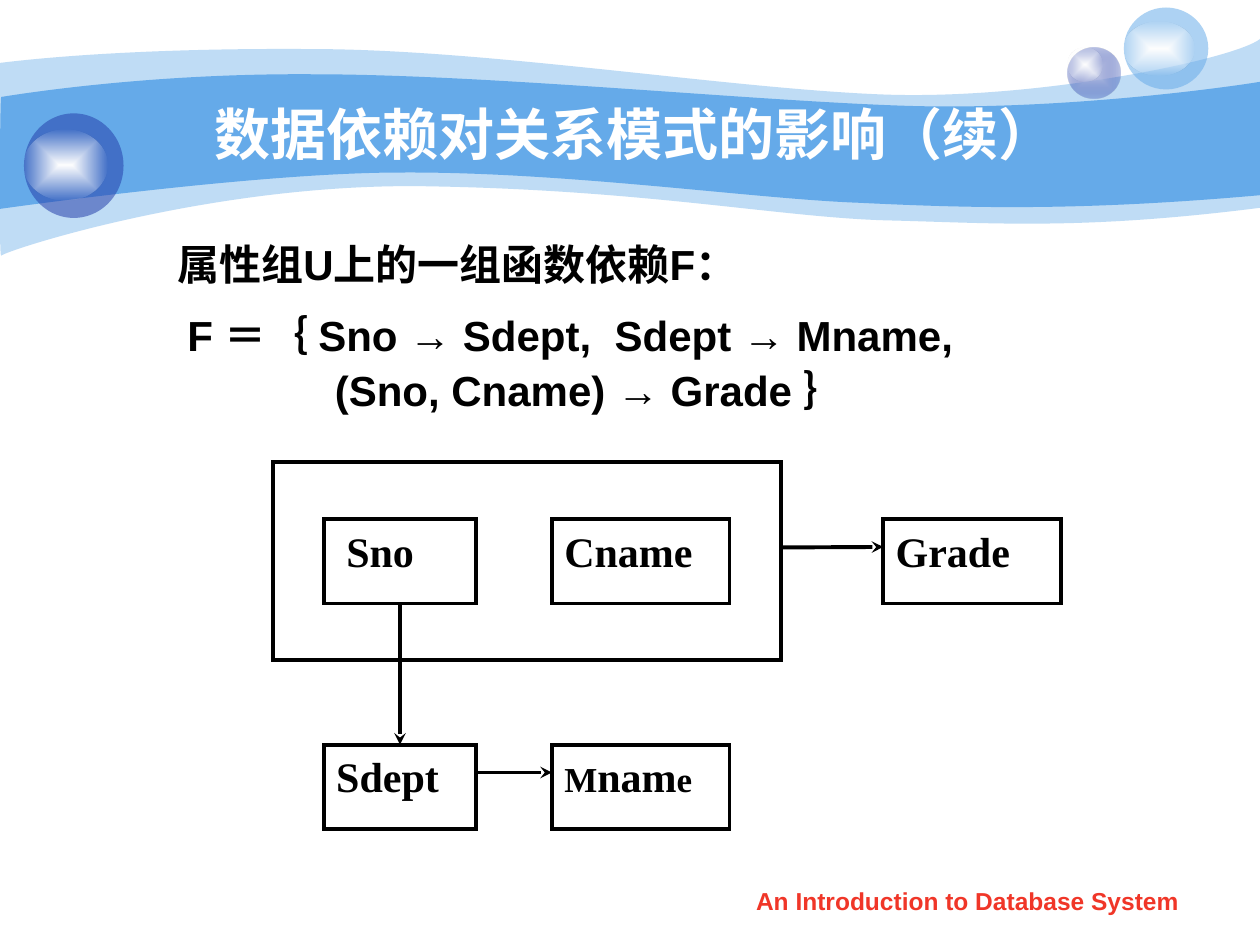
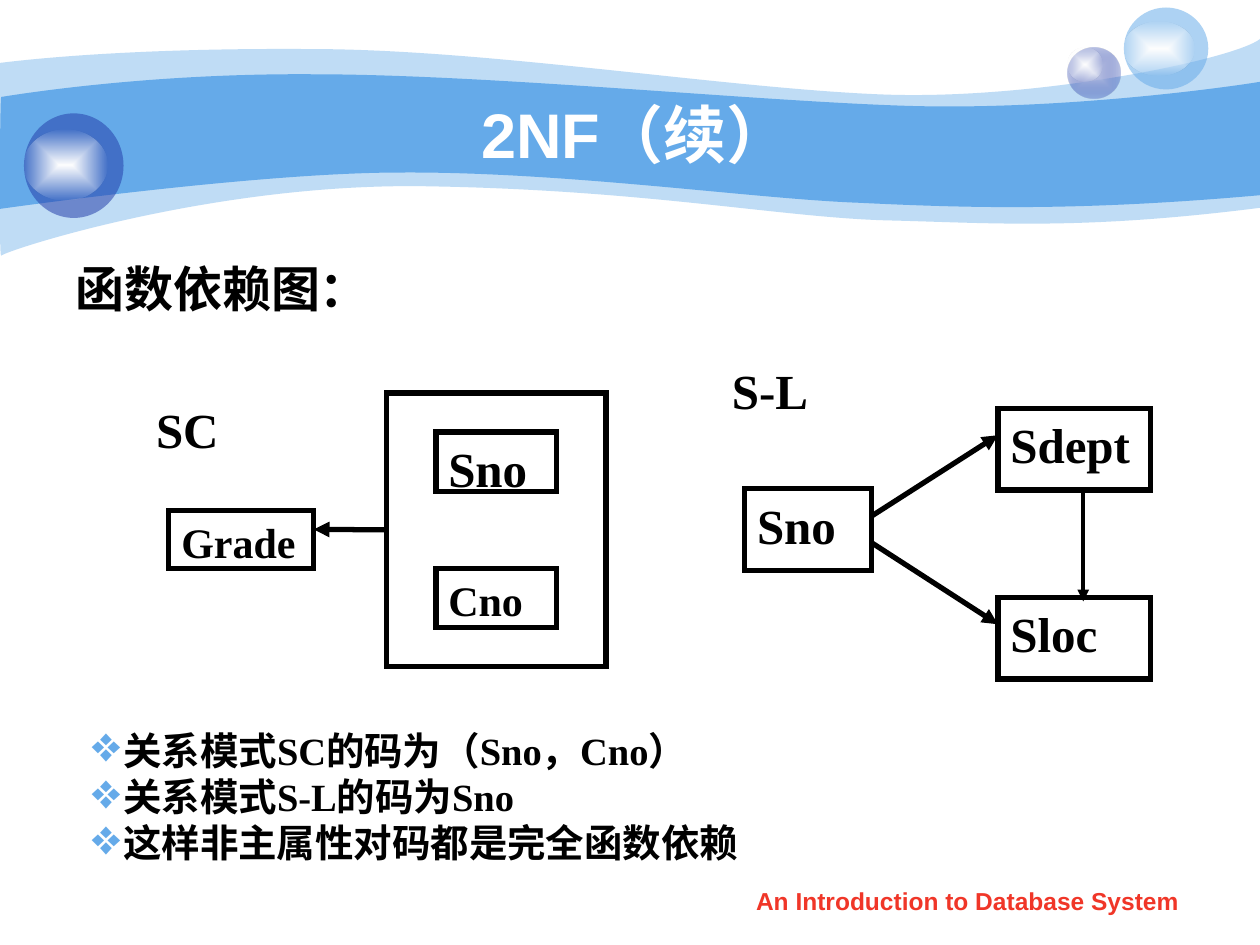
from pptx import Presentation, util as u
from pptx.dml.color import RGBColor
from pptx.enum import shapes as kinds, text as t
from pptx.oxml import parse_xml
from pptx.oxml.ns import nsdecls, qn

THEME = {
    "ink": "000000", "sky": "65AAE9", "navy": "233DA9", "lilac": "C6CCE8",
    "white": "FFFFFF", "clear": "FEFEFE", "footer": "F03628",
    "sans": "Arial", "serif": "Times New Roman",
    "small": 14, "minor": 20, "list": 22, "text": 24, "large": 28,
    "thin": 2.25, "thick": 3,
}
SLIDE = (10, 7.5)
TITLE_BOX = (1, 0.75, 8.08, 0.62)
FOOTER = ("An Introduction to Database System", (5.71, 6.98, 3.94, 0.35))

# Band outlines: six numbers are a Bézier step, two a straight step.
BANDS = [
    (41, (0, 0.5), [
        (0.24, 0.47, 1.07, 0.38, 2.47, 0.39), (3.86, 0.39, 5.75, 0.7, 6.99, 0.75),
        (8.22, 0.8, 9.8, 0.47, 10, 0.31), (10, 1.65),
        (8.58, 1.83, 7.87, 1.77, 7.05, 1.75), (6.22, 1.73, 5.15, 1.51, 3.43, 1.48),
        (1.72, 1.44, 0.04, 1.99, 0.01, 2.03), (-0.01, 2.08, 0, 0.75, 0, 0.5)]),
    (100, (0.01, 0.77), [
        (0.02, 0.77, 1.1, 0.58, 2.48, 0.59), (3.86, 0.59, 5.95, 0.8, 7.18, 0.84),
        (8.41, 0.88, 9.76, 0.69, 10, 0.65), (10, 1.55),
        (8.53, 1.68, 7.65, 1.65, 6.82, 1.61), (5.99, 1.58, 4.47, 1.36, 3.17, 1.37),
        (2.03, 1.37, -0.02, 1.66, -0.01, 1.66), (0, 1.66, 0, 0.77, 0.01, 0.77)]),
]
# Each bubble: its box, its colour stops, the box of its highlight.
BUBBLES = [
    ((8.47, 0.38, 0.42, 0.4), [("lilac", 100), ("navy", 31)], (8.47, 0.38, 0.28, 0.27)),
    ((8.92, 0.06, 0.67, 0.65), [("sky", 53)], (8.92, 0.17, 0.56, 0.43)),
    ((0.19, 0.9, 0.79, 0.83), [("navy", 53)], (0.19, 1.03, 0.66, 0.56)),
]
HIGHLIGHT = [("white", 100), ("clear", 0)]

# Runs: plain words, or (words, size, letter spacing in points).
# Nodes: name -> (box, runs, size, extra indent).
# Links: (node, share across, share down) at both ends, then the line width.
SLIDES = [
    {
        "title": ("数据依赖对关系模式的影响（续）", 32),
        "body": ((1.08, 1.84, 8.5, 1.6), "text", [
            (["属性组U上的一组函数依赖F："], {}, 0.23),
            (["F ＝｛ Sno → Sdept,", (" ", "text", 6.7), "Sdept → Mname,"],
             {"space_before": u.Pt(6), "line_spacing": 1.2}, 0.31),
            (["(Sno, Cname) → Grade ｝"], {"space_before": u.Pt(3)}, 1.48)]),
        "border": "thin", "head": "stealth",
        "nodes": {
            "key": ((2.17, 3.67, 4.03, 1.57), [], "text", 0),
            "Sno": ((2.57, 4.12, 1.21, 0.67), ["Sno"], "text", 0.08),
            "Cname": ((4.38, 4.12, 1.41, 0.67), ["Cname"], "text", 0),
            "Sdept": ((2.57, 5.91, 1.21, 0.67), ["Sdept"], "text", 0),
            "Mname": ((4.38, 5.91, 1.41, 0.67),
                      [("M", "minor", 0), "nam", ("e", "minor", 0)], "text", 0),
            "Grade": ((7.01, 4.12, 1.41, 0.67), ["Grade"], "text", 0),
        },
        "links": [
            (("Sno", 0.5, 1), ("Sdept", 0.5, 0), "thin"),
            (("Sdept", 1, 0.33), ("Mname", 0, 0.33), "thin"),
            (("key", 1, 0.43), ("Grade", 0, 0.33), "thin"),
        ],
    },
    {
        "title": ("2NF（续）", 36),
        "body": ((0.5, 2, 9, 0.7), "large", [(["函数依赖图："], {}, 0)]),
        "border": "thick", "head": "triangle",
        "nodes": {
            "key": ((3.07, 3.12, 1.74, 2.17), [], "text", 0),
            "key Sno": ((3.46, 3.43, 0.96, 0.47), ["Sno"], "large", 0),
            "Cno": ((3.46, 4.51, 0.96, 0.47), ["Cno"], "text", 0),
            "Grade": ((1.34, 4.05, 1.15, 0.46), ["Grade"], "text", 0),
            "Sno": ((5.91, 3.88, 1.01, 0.65), ["Sno"], "large", 0),
            "Sdept": ((7.92, 3.24, 1.21, 0.65), ["Sdept"], "large", 0),
            "Sloc": ((7.92, 4.74, 1.21, 0.65), ["Sloc"], "large", 0),
        },
        "links": [
            (("key", 0, 0.5), ("Grade", 1, 0.33), "thick"),
            (("Sno", 1, 0.33), ("Sdept", 0, 0.33), "thick"),
            (("Sno", 1, 0.66), ("Sloc", 0, 0.33), "thick"),
            (("Sdept", 0.56, 1.03), ("Sloc", 0.56, 0.05), "thin"),
        ],
        "labels": [("SC", (1.14, 3.12, 0.97, 0.46)), ("S-L", (5.71, 2.81, 1.21, 0.65))],
        "bullets": ((0.61, 5.72, 5.41, 1.2), [
            "关系模式SC的码为（Sno，Cno）", "关系模式S-L的码为Sno",
            "这样非主属性对码都是完全函数依赖"]),
    },
]


def apply(target, **values):
    for name, value in values.items():
        setattr(target, name, value)


def inches(values):
    return [u.Inches(v) for v in values]


def rgb(name):
    return RGBColor.from_string(THEME[name])


def element(xml):
    """Parse one drawing element written without its namespace declaration."""
    tag, rest = xml[:xml.index(" ")], xml[xml.index(" "):]
    return parse_xml(f'{tag} {nsdecls("a")}{rest}')


def write(paragraph, content, face, size, color="ink"):
    for part in content:
        words, run_size, spacing = part if isinstance(part, tuple) else (part, size, 0)
        run = paragraph.add_run()
        run.text = words
        apply(run.font, name=THEME[face], size=u.Pt(THEME.get(run_size, run_size)), bold=True)
        run.font.color.rgb = rgb(color)
        if spacing:
            run._r.get_or_add_rPr().set("spc", str(round(spacing * 100)))


def indent(paragraph, left, hanging=0):
    props = paragraph._p.get_or_add_pPr()
    props.set("marL", str(u.Inches(left)))
    props.set("indent", str(-u.Inches(hanging)))
    return props


def text_box(slide, box):
    frame = slide.shapes.add_textbox(*inches(box)).text_frame
    frame.word_wrap = True
    return frame


def paint(shape, stops):
    """Fill with one colour, or with a gradient growing from the centre."""
    shape.shadow.inherit = False
    shape.line.fill.background()
    shape.fill.background()
    colors = [f'<a:srgbClr val="{THEME[name]}"><a:alpha val="{opacity * 1000}"/></a:srgbClr>'
              for name, opacity in stops]
    if len(colors) == 1:
        xml = f'<a:solidFill >{colors[0]}</a:solidFill>'
    else:
        steps = "".join(f'<a:gs pos="{i * 100000}">{c}</a:gs>' for i, c in enumerate(colors))
        xml = (f'<a:gradFill rotWithShape="1"><a:gsLst>{steps}</a:gsLst>'
               '<a:path path="rect"><a:fillToRect l="50000" t="50000" r="50000" b="50000"/>'
               '</a:path></a:gradFill>')
    props = shape._element.spPr
    props.replace(props.find(qn("a:noFill")), element(xml))


def add_band(slide, start, steps):
    """Build on the control points, then join each three of a curve into one step."""
    points = [inches(step[i:i + 2]) for step in steps for i in range(0, len(step), 2)]
    builder = slide.shapes.build_freeform(*inches(start), scale=1)
    builder.add_line_segments(points, close=True)
    band = builder.convert_to_shape()
    segments = iter(list(band._element.iter(qn("a:lnTo"))))
    for step in steps:
        first = next(segments)
        if len(step) == 6:
            curve = element("<a:cubicBezTo />")
            first.getparent().replace(first, curve)
            for segment in (first, next(segments), next(segments)):
                curve.append(segment[0])
                if segment is not first:
                    segment.getparent().remove(segment)
    return band


def add_scenery(slide):
    """Draw bands and bubbles, then move them to the layout that all slides share."""
    scenery = []
    for opacity, start, steps in BANDS:
        band = add_band(slide, start, steps)
        paint(band, [("sky", opacity)])
        scenery.append(band)
    for ball, stops, shine in BUBBLES:
        for box, colors in ((ball, stops), (shine, HIGHLIGHT)):
            bubble = slide.shapes.add_shape(kinds.MSO_SHAPE.OVAL, *inches(box))
            paint(bubble, colors)
            scenery.append(bubble)
    tree = slide.slide_layout.shapes._spTree
    for depth, part in enumerate(scenery, start=2):
        tree.insert(depth, part._element)


def add_title(slide, words, size):
    title = slide.shapes.title
    apply(title, **dict(zip(("left", "top", "width", "height"), inches(TITLE_BOX))))
    apply(title.text_frame, vertical_anchor=t.MSO_ANCHOR.MIDDLE, auto_size=t.MSO_AUTO_SIZE.NONE)
    heading = title.text_frame.paragraphs[0]
    heading.alignment = t.PP_ALIGN.CENTER
    write(heading, [words], "sans", size, "white")


def add_body(slide, box, size, lines):
    frame = text_box(slide, box)
    for i, (runs, spacing, left) in enumerate(lines):
        line = frame.add_paragraph() if i else frame.paragraphs[0]
        indent(line, left)
        apply(line, **spacing)
        write(line, runs, "sans", size)


def add_node(slide, box, runs, size, left, border):
    node = slide.shapes.add_shape(kinds.MSO_SHAPE.RECTANGLE, *inches(box))
    node.shadow.inherit = False
    node.fill.background()
    node.line.color.rgb = rgb("ink")
    node.line.width = u.Pt(THEME[border])
    node.line._get_or_add_ln().append(element('<a:miter lim="800000"/>'))
    node.text_frame.vertical_anchor = t.MSO_ANCHOR.TOP
    caption = node.text_frame.paragraphs[0]
    caption.alignment = t.PP_ALIGN.LEFT
    indent(caption, left)
    write(caption, runs, "serif", size)


def add_link(slide, nodes, ends, width, head):
    points = []
    for name, across, down in ends:
        x, y, w, h = nodes[name][0]
        points += [x + across * w, y + down * h]
    link = slide.shapes.add_connector(kinds.MSO_CONNECTOR.STRAIGHT, *inches(points))
    link.line.color.rgb = rgb("ink")
    link.line.width = u.Pt(THEME[width])
    link.line._get_or_add_ln().append(element(f'<a:tailEnd type="{head}"/>'))
    link._element.spPr.append(element("<a:effectLst />"))


def add_bullets(slide, box, lines):
    frame = text_box(slide, box)
    frame.vertical_anchor = t.MSO_ANCHOR.MIDDLE
    for i, words in enumerate(lines):
        line = frame.add_paragraph() if i else frame.paragraphs[0]
        props = indent(line, 0.27, 0.25)
        for xml in (f'<a:buClr ><a:srgbClr val="{THEME["sky"]}"/></a:buClr>',
                    '<a:buSzPct val="130000"/>', '<a:buChar char="❖"/>'):
            props.append(element(xml))
        write(line, [words], "serif", "list")


def add_footer(slide):
    words, box = FOOTER
    line = text_box(slide, box).paragraphs[0]
    line.alignment = t.PP_ALIGN.CENTER
    write(line, [words], "sans", "small", "footer")


def main():
    deck = Presentation()
    deck.slide_width, deck.slide_height = inches(SLIDE)
    for number, content in enumerate(SLIDES):
        slide = deck.slides.add_slide(deck.slide_layouts[5])
        if number == 0:
            add_scenery(slide)
        add_title(slide, *content["title"])
        add_body(slide, *content["body"])
        for node in content["nodes"].values():
            add_node(slide, *node, content["border"])
        for *ends, width in content["links"]:
            add_link(slide, content["nodes"], ends, width, content["head"])
        for words, box in content.get("labels", []):
            write(text_box(slide, box).paragraphs[0], [words], "serif", "large")
        if "bullets" in content:
            add_bullets(slide, *content["bullets"])
        add_footer(slide)
    deck.save("out.pptx")


if __name__ == "__main__":
    main()
